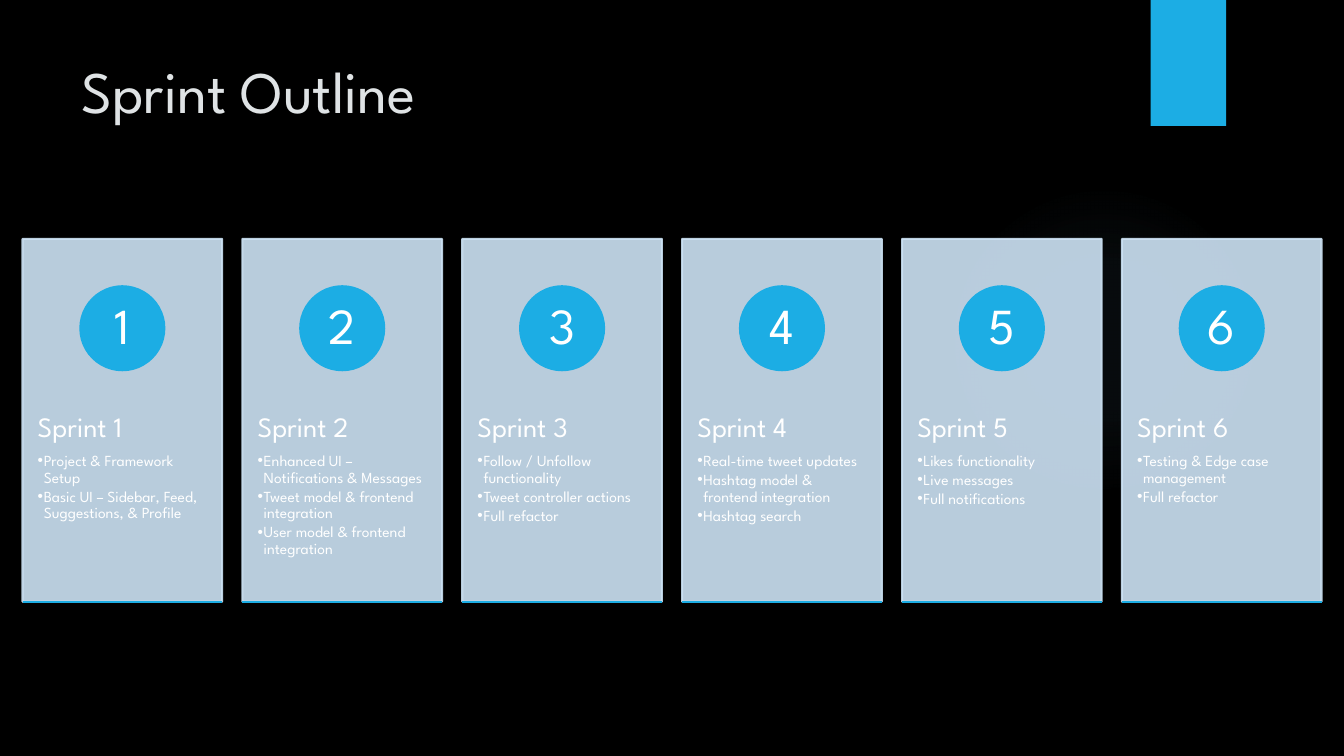
from dataclasses import dataclass

from lxml.etree import SubElement
from pptx import Presentation
from pptx.dml.color import RGBColor
from pptx.enum.shapes import MSO_CONNECTOR, MSO_SHAPE as Preset
from pptx.enum.text import MSO_ANCHOR as Anchor, PP_ALIGN as Align
from pptx.oxml import parse_xml
from pptx.oxml.ns import nsdecls, qn
from pptx.util import Inches, Pt

WIDTH, HEIGHT = Inches(13.33), Inches(7.5)
FONT, BULLET_FONT = "League Spartan", "Arial"
COLORS = {
    "background": "000000",
    "accent": "1CADE4",
    "card": "CDE3F5",
    "glow": "70A1C0",
    "title": "DFE3E5",
    "text": "FFFFFF",
}


# Lengths are percentages of the slide's width and height
def across(percent: float) -> int:
    return round(WIDTH * percent / 100)


def down(percent: float) -> int:
    return round(HEIGHT * percent / 100)


@dataclass(frozen=True)
class Area:
    left: float
    top: float
    width: float
    height: float

    def lengths(self) -> tuple[int, int, int, int]:
        return across(self.left), down(self.top), across(self.width), down(self.height)

    def centered_in(self, left: float, width: float) -> "Area":
        return Area(left + (width - self.width) / 2, self.top, self.width, self.height)


@dataclass(frozen=True)
class Sprint:
    number: int
    tasks: tuple[str, ...]


SPRINTS = [
    Sprint(1, ("Project & Framework Setup",
               "Basic UI – Sidebar, Feed, Suggestions, & Profile")),
    Sprint(2, ("Enhanced UI – Notifications & Messages",
               "Tweet model & frontend integration",
               "User model & frontend integration")),
    Sprint(3, ("Follow / Unfollow functionality", "Tweet controller actions", "Full refactor")),
    Sprint(4, ("Real-time tweet updates", "Hashtag model & frontend integration",
               "Hashtag search")),
    Sprint(5, ("Likes functionality", "Live messages", "Full notifications")),
    Sprint(6, ("Testing & Edge case management", "Full refactor")),
]

# Card grid
FIRST_CARD, CARD_PITCH, CARD_WIDTH = 1.68, 16.36, 14.85
CARD_TOP, CARD_HEIGHT = 31.6, 48
BADGE = Area(0, 37.87, 6.25, 11.11)
NUMBER = Area(0, 39.47, 4.42, 7.87)
BULLET_INDENT = 0.45


def rgb(name: str) -> RGBColor:
    return RGBColor.from_string(COLORS[name])


def add_block(page, preset, area: Area, color: str, outlined=False, opacity=100):
    block = page.shapes.add_shape(preset, *area.lengths())
    block.shadow.inherit = False
    block.fill.solid()
    block.fill.fore_color.rgb = rgb(color)
    if outlined:
        block.line.color.rgb = rgb(color)
        block.line.width = Pt(1.5)
    else:
        block.line.fill.background()
    if opacity < 100:
        for tint in block._element.spPr.iter(qn("a:srgbClr")):
            SubElement(tint, qn("a:alpha"), val=str(opacity * 1000))
    return block


def add_glow(page, area: Area) -> None:
    glow = add_block(page, Preset.OVAL, area, "glow")
    stops = "".join(
        f'<a:gs pos="{place * 1000}"><a:srgbClr val="{COLORS["glow"]}">'
        f'<a:alpha val="{opacity * 1000}"/></a:srgbClr></a:gs>'
        for place, opacity in ((0, 7), (36, 6), (69, 0))
    )
    gradient = parse_xml(
        f'<a:gradFill {nsdecls("a")}><a:gsLst>{stops}</a:gsLst><a:path path="circle">'
        '<a:fillToRect l="50000" t="50000" r="50000" b="50000"/></a:path></a:gradFill>'
    )
    properties = glow._element.spPr
    properties.replace(properties.find(qn("a:solidFill")), gradient)


def add_rule(page, left: float, top: float, width: float) -> None:
    rule = page.shapes.add_connector(
        MSO_CONNECTOR.STRAIGHT, across(left), down(top), across(left + width), down(top))
    rule.line.color.rgb = rgb("accent")
    rule.line.width = Pt(1.5)
    SubElement(rule._element.spPr, qn("a:effectLst"))


def add_frame(page, area: Area, side: float, end: float, anchor=Anchor.TOP):
    frame = page.shapes.add_textbox(*area.lengths()).text_frame
    frame.word_wrap = True
    frame.vertical_anchor = anchor
    frame.margin_left = frame.margin_right = across(side)
    frame.margin_top = frame.margin_bottom = down(end)
    return frame


def write(para, text: str, size: float, color="text", spacing=1.0, after=0.0) -> None:
    para.line_spacing = spacing
    para.space_after = Pt(after)
    span = para.add_run()
    span.text = text
    span.font.name = FONT
    span.font.size = Pt(size)
    span.font.color.rgb = rgb(color)


def add_bullet(para) -> None:
    para.level = 1
    properties = para._p.get_or_add_pPr()
    properties.set("marL", str(across(BULLET_INDENT)))
    properties.set("indent", str(-across(BULLET_INDENT)))
    SubElement(properties, qn("a:buFont"), typeface=BULLET_FONT)
    SubElement(properties, qn("a:buChar"), char="•")


def add_card(page, sprint: Sprint, left: float) -> None:
    add_block(page, Preset.RECTANGLE, Area(left, CARD_TOP, CARD_WIDTH, CARD_HEIGHT),
              "card", outlined=True, opacity=90)

    # Heading and tasks
    frame = add_frame(page, Area(left, 49.87, CARD_WIDTH, 28.8), 1.13, 4.8)
    write(frame.paragraphs[0], f"Sprint {sprint.number}", 20, spacing=0.9, after=7)
    for task in sprint.tasks:
        para = frame.add_paragraph()
        write(para, task, 11, spacing=0.9, after=1.65)
        add_bullet(para)

    # Numbered badge
    add_block(page, Preset.OVAL, BADGE.centered_in(left, CARD_WIDTH), "accent", outlined=True)
    number = add_frame(page, NUMBER.centered_in(left, CARD_WIDTH), 0.45, 0.13, Anchor.MIDDLE)
    number.paragraphs[0].alignment = Align.CENTER
    write(number.paragraphs[0], str(sprint.number), 36, spacing=0.9)

    add_rule(page, left, CARD_TOP + CARD_HEIGHT, CARD_WIDTH)


def main() -> None:
    deck = Presentation()
    deck.slide_width, deck.slide_height = WIDTH, HEIGHT
    page = deck.slides.add_slide(deck.slide_layouts[6])

    # Backdrop
    page.background.fill.solid()
    page.background.fill.fore_color.rgb = rgb("background")
    add_glow(page, Area(70.59, 24.4, 23.1, 41.07))
    add_block(page, Preset.RECTANGLE, Area(85.62, 0, 5.61, 16.67), "accent")

    # Sprint cards
    for index, sprint in enumerate(SPRINTS):
        add_card(page, sprint, FIRST_CARD + index * CARD_PITCH)

    # Title
    title = add_frame(page, Area(5.33, 6.53, 77.19, 20.4), 0.75, 0.67)
    write(title.paragraphs[0], "Sprint Outline", 42, "title")

    deck.save("out.pptx")


if __name__ == "__main__":
    main()
